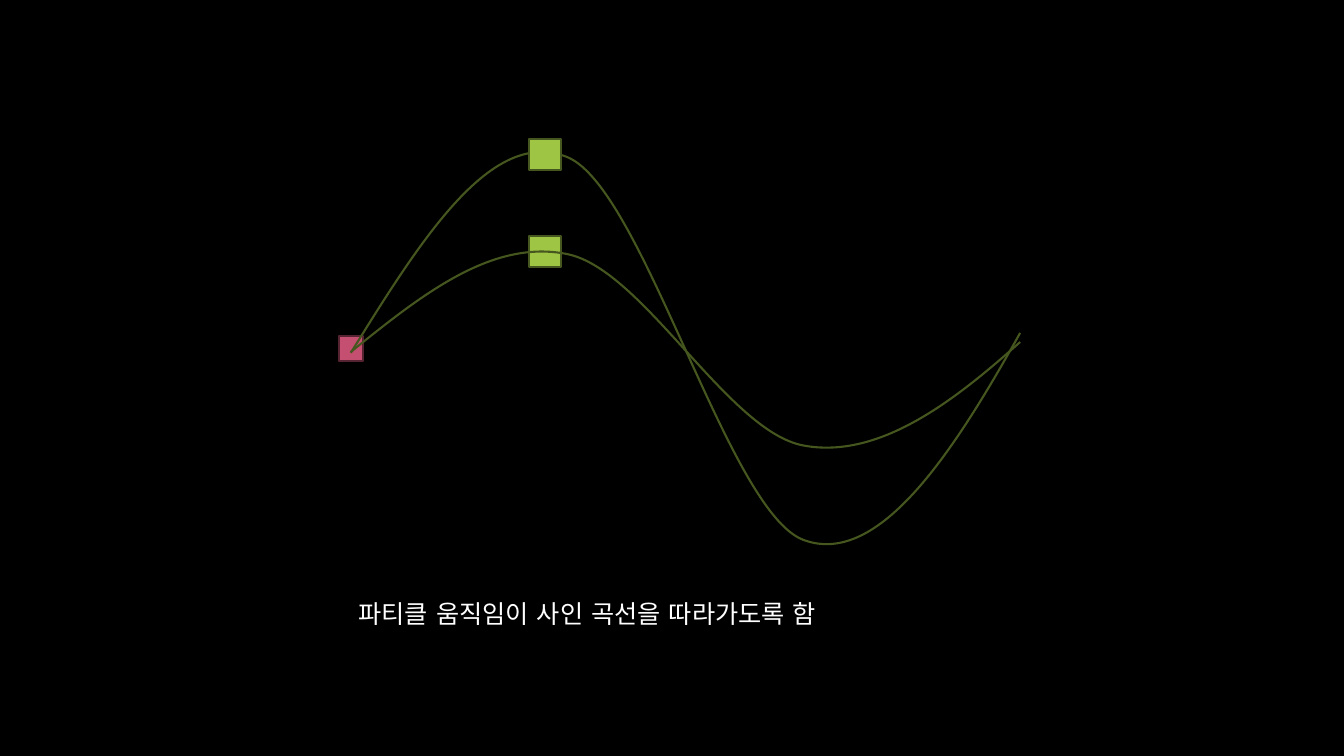
"""Builds a slide of particles that follow two sine curves."""
from lxml.etree import SubElement
from pptx import Presentation
from pptx.dml.color import RGBColor
from pptx.enum.shapes import MSO_AUTO_SHAPE_TYPE as ShapeType
from pptx.enum.text import MSO_AUTO_SIZE as AutoSize
from pptx.oxml.ns import qn
from pptx.util import Pt

COLORS = {
    "background": "000000",
    "text": "FFFFFF",
    "origin": "C54F71",
    "origin_line": "562332",
    "particle": "9EC544",
    "wave": "45561E",
}
FONT = "TeX Gyre Bonum"
LINE_WIDTH = 1.5
WAVE_WIDTH = 478.1
WAVE_TOP, WAVE_BOTTOM = -143.3, 136.8
WAVE_POINTS = [
    (0, 0), (50.4, -81.2), (100.8, -162), (154.8, -139.7), (208.8, -117.4),
    (269.2, 113.2), (323.2, 133.6), (377.2, 154), (431.2, 69.9), (WAVE_WIDTH, -14.2),
]


def color(name):
    return RGBColor.from_string(COLORS[name])


def style_line(shape, line_color):
    shape.shadow.inherit = False
    shape.line.color.rgb = color(line_color)
    shape.line.width = Pt(LINE_WIDTH)


def add_square(slide, left, top, width, height, fill_color, line_color):
    shape = slide.shapes.add_shape(
        ShapeType.RECTANGLE, Pt(left), Pt(top), Pt(width), Pt(height)
    )
    shape.fill.solid()
    shape.fill.fore_color.rgb = color(fill_color)
    style_line(shape, line_color)


def add_path_step(outline, tag, points):
    step = SubElement(outline, qn(tag))
    for x, y in points:
        SubElement(step, qn("a:pt"), x=str(Pt(x)), y=str(Pt(y)))


def add_wave(slide, left, baseline, amplitude):
    """Draws three joined Bézier curves around the baseline."""
    top, bottom = amplitude * WAVE_TOP, amplitude * WAVE_BOTTOM
    builder = slide.shapes.build_freeform(Pt(left), Pt(baseline + top))
    builder.add_line_segments(
        [(Pt(left + WAVE_WIDTH), Pt(baseline + bottom))], close=False
    )
    shape = builder.convert_to_shape()
    outline = next(shape.element.iter(qn("a:path")))
    for step in list(outline):
        outline.remove(step)
    points = [(x, amplitude * y - top) for x, y in WAVE_POINTS]
    add_path_step(outline, "a:moveTo", points[:1])
    for index in range(1, len(points), 3):
        add_path_step(outline, "a:cubicBezTo", points[index:index + 3])
    shape.fill.background()
    style_line(shape, "wave")


def add_diagram(slide, left, top):
    """Places the origin, the two particles and their waves."""
    add_square(slide, left - 8.7, top + 140.9, 17.3, 17.8, "origin", "origin_line")
    particle_left = left + 127.4
    add_square(slide, particle_left, top + 69.5, 22.7, 21.8, "particle", "wave")
    add_wave(slide, left, top + 152.6, 1)
    add_square(slide, particle_left, top, 22.7, 21.8, "particle", "wave")
    add_wave(slide, left, top + 152, 0.5)


def add_caption(slide, left, top, width, height):
    box = slide.shapes.add_textbox(Pt(left), Pt(top), Pt(width), Pt(height))
    frame = box.text_frame
    frame.word_wrap = True
    frame.auto_size = AutoSize.SHAPE_TO_FIT_TEXT
    frame.text = "파티클 움직임이 사인 곡선을 따라가도록 함"
    run = frame.paragraphs[0].runs[0]
    run.font.name = FONT
    run.font.size = Pt(18)
    run.font.color.rgb = color("text")
    SubElement(run.font._element, qn("a:ea"), typeface=FONT)


def main():
    presentation = Presentation()
    presentation.slide_width = Pt(960)
    presentation.slide_height = Pt(540)
    slide = presentation.slides.add_slide(presentation.slide_layouts[6])
    slide.background.fill.solid()
    slide.background.fill.fore_color.rgb = color("background")
    add_diagram(slide, 250.6, 99.4)
    add_caption(slide, 249.1, 424.1, 480.2, 28.8)
    presentation.save("out.pptx")


if __name__ == "__main__":
    main()
